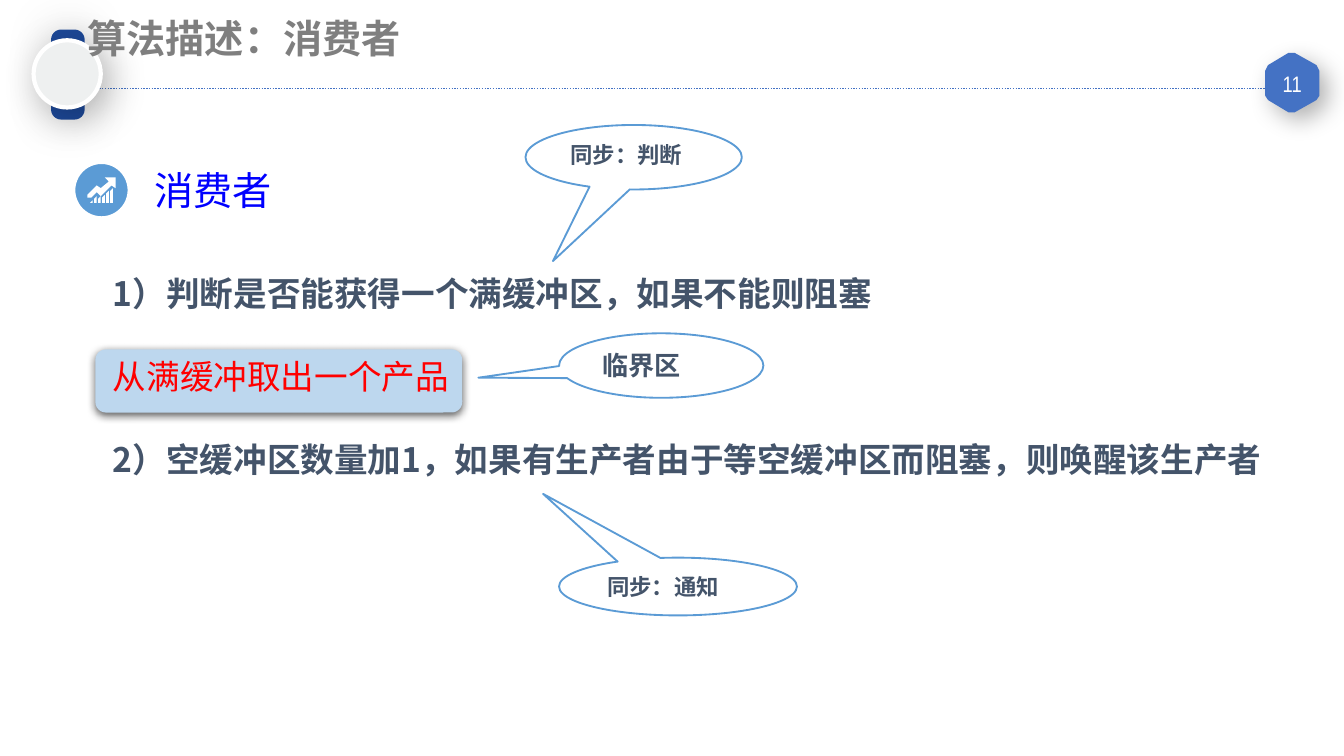
"""Build the slide that describes the consumer algorithm."""
from lxml import etree
from pptx import Presentation
from pptx.dml.color import RGBColor
from pptx.enum.dml import MSO_LINE
from pptx.enum.shapes import MSO_CONNECTOR, MSO_SHAPE
from pptx.enum.text import MSO_ANCHOR, PP_ALIGN
from pptx.oxml.ns import qn
from pptx.util import Inches, Pt

OVAL, ROUNDED = MSO_SHAPE.OVAL, MSO_SHAPE.ROUNDED_RECTANGLE
CALLOUT = MSO_SHAPE.OVAL_CALLOUT
TOP, MIDDLE = MSO_ANCHOR.TOP, MSO_ANCHOR.MIDDLE
LEFT, CENTER = PP_ALIGN.LEFT, PP_ALIGN.CENTER

THEME = {
    "font": "Noto Sans CJK SC", "number_font": "Arial Narrow",
    "white": "FFFFFF", "gray": "7F7F7F", "slate": "44546A", "red": "FF0000",
    "link_blue": "0000FF", "accent": "4472C4", "sky": "5B9BD5",
    "pale_blue": "BDD7EE", "navy": "1D4999", "disc": "EEF0F0", "shadow": "000000",
    "heading": 21, "body": 18, "label": 14, "note": 12,
}
INSET = (0.1, 0.05, 0.1, 0.05)
SMALL_INSET = (0.07, 0.04, 0.07, 0.04)

TITLE = "算法描述：消费者"
SUBTITLE = "消费者"
PAGE = "11"
STEPS = [
    ("1）判断是否能获得一个满缓冲区，如果不能则阻塞", "slate", True),
    ("从满缓冲取出一个产品", "red", False),
    ("2）空缓冲区数量加1，如果有生产者由于等空缓冲区而阻塞，则唤醒该生产者", "slate", True),
]
CALLOUTS = [
    ("临界区", "label", (4.16, 2.48, 1.52, 0.48), (-0.895, 0.189)),
    ("同步：判断", "note", (3.91, 0.93, 1.61, 0.48), (-0.373, 1.61)),
    ("同步：通知", "note", (4.16, 4.15, 1.77, 0.43), (-0.567, -1.605)),
]
BADGE = [(9.42, 0.53), (9.44, 0.49), (9.59, 0.4), (9.63, 0.4), (9.79, 0.49),
         (9.81, 0.53), (9.81, 0.71), (9.79, 0.74), (9.63, 0.83), (9.59, 0.83),
         (9.44, 0.74), (9.42, 0.71)]
TREND_ARROW = [(0.78, 1.32), (0.86, 1.32), (0.86, 1.4), (0.83, 1.38), (0.75, 1.46),
               (0.72, 1.43), (0.68, 1.47), (0.65, 1.47), (0.65, 1.45), (0.72, 1.38),
               (0.75, 1.4), (0.81, 1.35)]
BAR_TOPS = [1.49, 1.46, 1.46, 1.45, 1.42, 1.4]
BAR_LEFT, BAR_PITCH, BAR_WIDTH, BAR_BASE = 0.67, 0.03, 0.02, 1.51


def color(name):
    return RGBColor.from_string(THEME[name])


def place(part, box):
    for key, value in zip(("left", "top", "width", "height"), box):
        setattr(part, key, Inches(value))


def paint(part, fill, line=None, width=1, shadow=None):
    part.shadow.inherit = False
    part.fill.solid()
    part.fill.fore_color.rgb = color(fill)
    if line:
        part.line.color.rgb = color(line)
        part.line.width = Pt(width)
    else:
        part.line.fill.background()
    if shadow:
        alpha, blur, distance, angle = shadow
        effects = part.element.spPr.find(qn("a:effectLst"))
        outer = etree.SubElement(effects, qn("a:outerShdw"), blurRad=str(Pt(blur)),
                                 dist=str(Pt(distance)), dir=str(angle * 60000),
                                 algn="ctr", rotWithShape="0")
        tone = etree.SubElement(outer, qn("a:srgbClr"), val=THEME["shadow"])
        etree.SubElement(tone, qn("a:alpha"), val=str(alpha * 1000))


def add_preset(shapes, kind, box, adjustments=(), **look):
    preset = shapes.add_shape(kind, *map(Inches, box))
    for index, value in enumerate(adjustments):
        preset.adjustments[index] = value
    paint(preset, **look)
    return preset


def add_outline(shapes, contours, **look):
    builder = None
    for points in contours:
        corners = [(Inches(x), Inches(y)) for x, y in points]
        if builder is None:
            builder = shapes.build_freeform(*corners[0])
        else:
            builder.move_to(*corners[0])
        builder.add_line_segments(corners[1:], close=True)
    paint(builder.convert_to_shape(), **look)


def write(part, lines, size, anchor=TOP, align=LEFT, inset=INSET, font="font",
          spacing=1.0, gap=0):
    frame = part.text_frame
    left, top, right, bottom = map(Inches, inset)
    layout = {"word_wrap": True, "vertical_anchor": anchor, "margin_left": left,
              "margin_top": top, "margin_right": right, "margin_bottom": bottom}
    for key, value in layout.items():
        setattr(frame, key, value)
    for index, (text, tone, bold) in enumerate(lines):
        paragraph = frame.add_paragraph() if index else frame.paragraphs[0]
        paragraph.alignment = align
        paragraph.line_spacing = spacing
        if index:
            paragraph.space_before = Pt(gap)
        run = paragraph.add_run()
        run.text = text
        for key, value in {"size": Pt(THEME[size]), "bold": bold, "name": THEME[font]}.items():
            setattr(run.font, key, value)
        run.font.color.rgb = color(tone)
        etree.SubElement(run.font._element, qn("a:ea"), typeface=THEME[font])


def add_text(shapes, box, lines, size, **layout):
    write(shapes.add_textbox(*map(Inches, box)), lines, size, **layout)


def add_header(shapes):
    rule = shapes.add_connector(MSO_CONNECTOR.STRAIGHT, Inches(0.33), Inches(0.66),
                                Inches(9.43), Inches(0.66))
    rule.line.color.rgb = color("accent")
    rule.line.width = Pt(0.75)
    rule.line.dash_style = MSO_LINE.ROUND_DOT
    etree.SubElement(rule.element.spPr, qn("a:effectLst"))
    add_outline(shapes, [BADGE], fill="accent", line="accent", shadow=(30, 13, 6, 45))
    add_text(shapes, (9.42, 0.5, 0.39, 0.25), [(PAGE, "white", False)], "note",
             anchor=MIDDLE, align=CENTER, inset=SMALL_INSET, font="number_font")
    add_preset(shapes, ROUNDED, (0.38, 0.22, 0.25, 0.67), (0.3,), fill="navy",
               shadow=(17, 27, 0, 0))
    add_preset(shapes, OVAL, (0.25, 0.3, 0.5, 0.5), fill="disc", line="white",
               width=2.25, shadow=(28, 22, 6, 45))


def add_subtitle(shapes):
    add_text(shapes, (1.08, 1.25, 4.09, 0.32), [(SUBTITLE, "link_blue", False)],
             "heading", anchor=MIDDLE, inset=SMALL_INSET)
    add_preset(shapes, OVAL, (0.55, 1.21, 0.41, 0.41), fill="sky", line="white", width=1.5)
    bars = []
    for index, top in enumerate(BAR_TOPS):
        left = BAR_LEFT + index * BAR_PITCH
        right = left + BAR_WIDTH
        bars.append([(left, BAR_BASE), (left, top + 0.02), (right, top), (right, BAR_BASE)])
    add_outline(shapes, bars + [TREND_ARROW], fill="white")


def main():
    deck = Presentation()
    deck.slide_width = Inches(10)
    deck.slide_height = deck.slide_width * 9 // 16
    slide = deck.slides.add_slide(deck.slide_layouts[5])
    shapes = slide.shapes
    title = shapes.title
    add_header(shapes)
    add_preset(shapes, ROUNDED, (0.71, 2.6, 2.73, 0.47), fill="pale_blue",
               shadow=(63, 4.5, 1.5, 90))
    place(title, (0.55, 0.06, 5.76, 0.45))
    write(title, [(TITLE, "gray", True)], "heading")
    title.element.getparent().append(title.element)
    add_text(shapes, (0.5, 1.07, 9.24, 3.71), STEPS, "body", anchor=MIDDLE,
             inset=(0.34, 0, 0.05, 0.22), spacing=0.9, gap=25)
    for text, size, box, tail in CALLOUTS:
        callout = add_preset(shapes, CALLOUT, box, tail, fill="white", line="sky")
        write(callout, [(text, "slate", True)], size)
    add_subtitle(shapes)
    deck.save("out.pptx")


if __name__ == "__main__":
    main()
